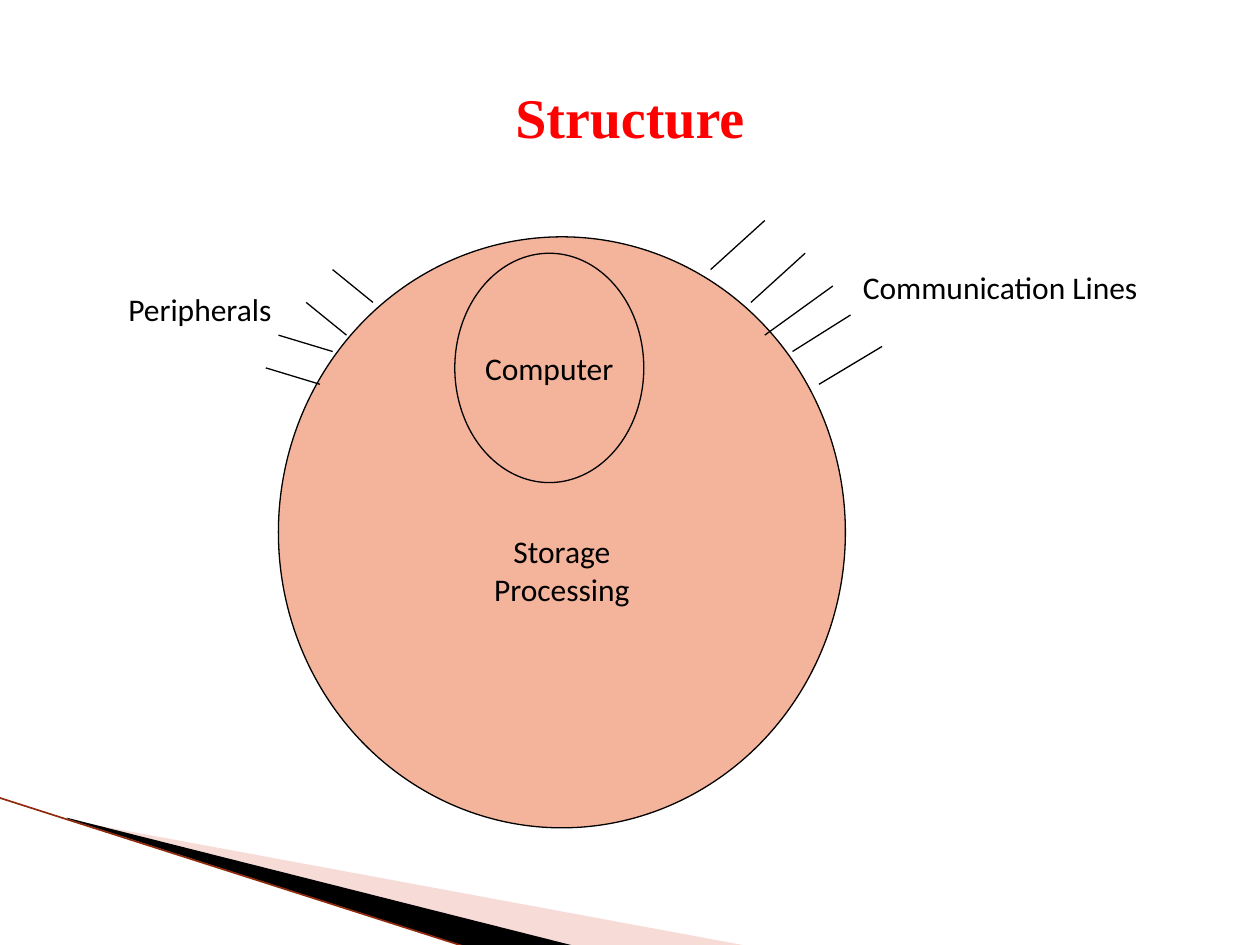
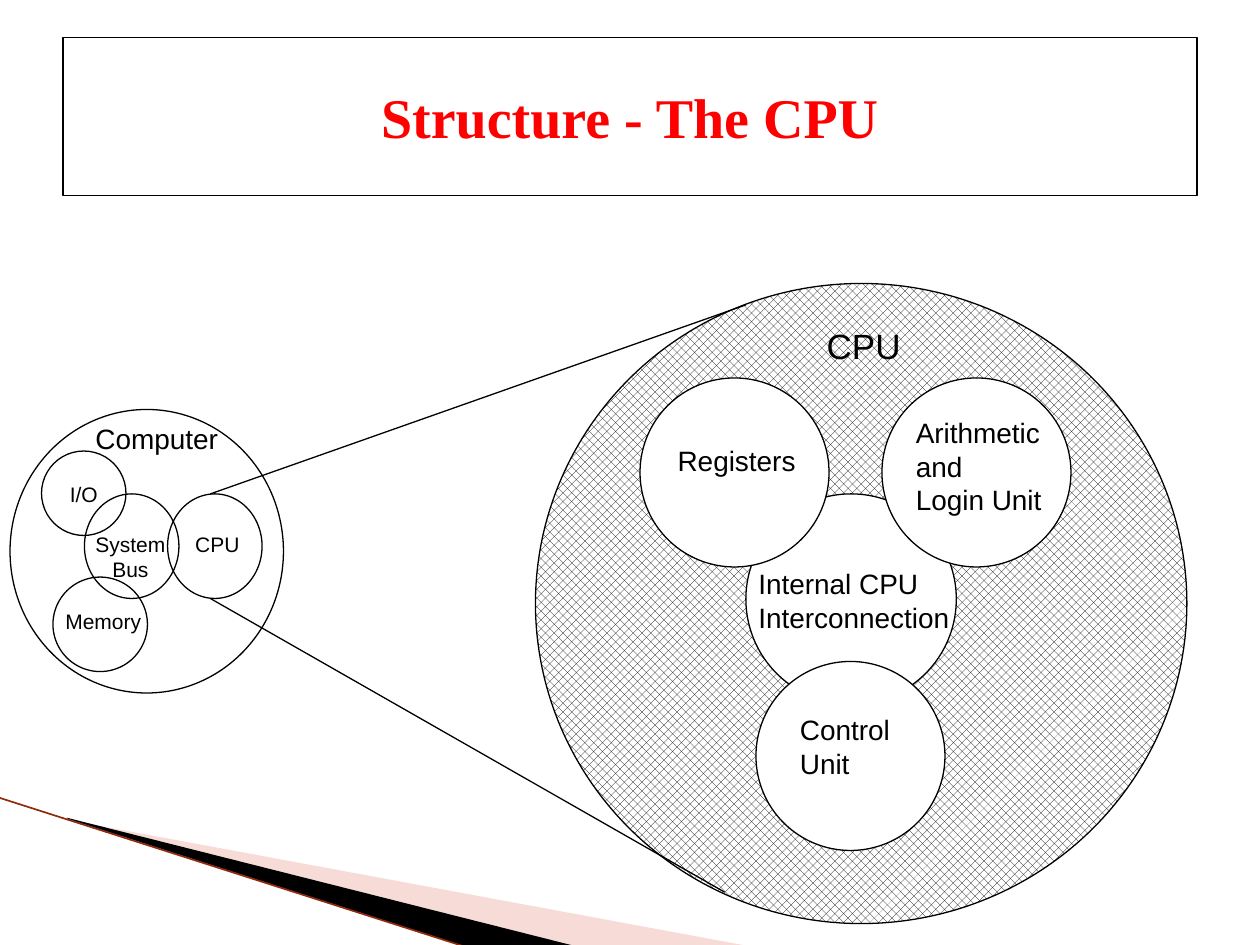
from lxml import etree
from pptx import Presentation
from pptx.dml.color import RGBColor
from pptx.enum.dml import MSO_PATTERN
from pptx.enum.shapes import MSO_CONNECTOR, MSO_SHAPE
from pptx.enum.text import MSO_ANCHOR, MSO_AUTO_SIZE, PP_ALIGN
from pptx.oxml.ns import qn
from pptx.util import Inches, Pt

COLORS = {
    "title": "FF0000", "ink": "000000", "paper": "FFFFFF", "salmon": "F4B39B",
    "pale wedge": "E9A59D", "dark wedge": "000000", "edge": "8F2A0C",
}
TITLE_FONT, BODY_FONT, DIAGRAM_FONT = "Times New Roman", "Calibri", "Arial"
OUTLINE = 0.75


def color(name):
    return RGBColor.from_string(COLORS[name])


def set_outline(line, name="ink", width=OUTLINE):
    line.color.rgb = color(name)
    line.width = Pt(width)


def write(frame, text, size, font, align, anchor=MSO_ANCHOR.MIDDLE, ink="ink", bold=False):
    frame.text = text
    frame.vertical_anchor = anchor
    for paragraph in frame.paragraphs:
        paragraph.alignment = align
        paragraph.font.size = Pt(size)
        paragraph.font.name = font
        paragraph.font.bold = bold
        paragraph.font.color.rgb = color(ink)


def add_circle(slide, left, top, width, height, fill=None):
    circle = slide.shapes.add_shape(MSO_SHAPE.OVAL, *map(Inches, (left, top, width, height)))
    circle.shadow.inherit = False
    if fill:
        circle.fill.solid()
        circle.fill.fore_color.rgb = color(fill)
    else:
        circle.fill.background()
    set_outline(circle.line)
    circle.text_frame.word_wrap = False
    return circle


def add_label(slide, text, left, top, width, height, size=16, font=DIAGRAM_FONT,
              align=PP_ALIGN.LEFT, anchor=MSO_ANCHOR.TOP, fill=None):
    """Add a label whose free side margins are zero, so that its words stay whole."""
    label = slide.shapes.add_textbox(*map(Inches, (left, top, width, height)))
    if fill:
        label.fill.solid()
        label.fill.fore_color.rgb = color(fill)
    frame = label.text_frame
    frame.word_wrap = True
    frame.auto_size = MSO_AUTO_SIZE.SHAPE_TO_FIT_TEXT
    frame.margin_right = 0
    if align == PP_ALIGN.CENTER:
        frame.margin_left = 0
    write(frame, text, size, font, align, anchor)


def add_line(slide, x1, y1, x2, y2, name="ink", width=OUTLINE):
    line = slide.shapes.add_connector(MSO_CONNECTOR.STRAIGHT, *map(Inches, (x1, y1, x2, y2)))
    set_outline(line.line, name, width)
    etree.SubElement(line._element.spPr, qn("a:effectLst"))


def add_wedge(slide, points, name, opacity=100):
    start, *others = [(Inches(x), Inches(y)) for x, y in points]
    builder = slide.shapes.build_freeform(*start)
    builder.add_line_segments(others, close=True)
    wedge = builder.convert_to_shape()
    wedge.shadow.inherit = False
    wedge.fill.solid()
    wedge.fill.fore_color.rgb = color(name)
    wedge.line.fill.background()
    if opacity < 100:
        tint = wedge._element.spPr.find(qn("a:solidFill"))[0]
        etree.SubElement(tint, qn("a:alpha"), val=str(opacity * 1000))


def add_corner_band(slide):
    add_wedge(slide, [(0.55, 6.51), (5.95, 7.51), (4.56, 7.51), (0.55, 6.5)], "pale wedge", 40)
    add_wedge(slide, [(0.53, 6.49), (4.57, 7.51), (3.72, 7.52), (0.54, 6.5)], "dark wedge")
    add_line(slide, -0.01, 6.33, 3.71, 7.52, "edge", 0.95)


def start_slide(prs, heading, framed=False):
    """Add a slide with the shared corner band and title."""
    slide = prs.slides.add_slide(prs.slide_layouts[5])
    add_corner_band(slide)
    title = slide.shapes.title
    title.left, title.top, title.width, title.height = map(Inches, (0.5, 0.3, 9, 1.25))
    write(title.text_frame, heading, 32, TITLE_FONT, PP_ALIGN.CENTER, ink="title", bold=True)
    if framed:
        set_outline(title.line)
    return slide


def add_system(slide, left, top):
    """Storage and processing around the computer, with its outside links."""
    system = add_circle(slide, left, top, 4.5, 4.69, "salmon")
    system.text_frame.margin_top = Inches(0.65)
    write(system.text_frame, "Storage\nProcessing", 18, BODY_FONT, PP_ALIGN.CENTER)
    computer = add_circle(slide, left + 1.4, top + 0.13, 1.5, 1.82, "salmon")
    write(computer.text_frame, "Computer", 18, BODY_FONT, PP_ALIGN.CENTER)

    communication_lines = [
        (3.43, 0.26, 3.86, -0.13), (3.75, 0.52, 4.18, 0.13), (3.86, 0.78, 4.4, 0.39),
        (4.08, 0.91, 4.54, 0.62), (4.29, 1.17, 4.79, 0.87),
    ]
    peripheral_lines = [
        (0.33, 1.17, -0.1, 1.04), (0.43, 0.91, 0, 0.78),
        (0.54, 0.78, 0.22, 0.52), (0.75, 0.52, 0.43, 0.26),
    ]
    for x1, y1, x2, y2 in communication_lines + peripheral_lines:
        add_line(slide, left + x1, top + y1, left + x2, top + y2)
    for text, x, y, width in [("Peripherals", -1.29, 0.37, 1.5),
                              ("Communication Lines", 4.54, 0.2, 2.43)]:
        add_label(slide, text, left + x, top + y, width, 0.4, 18, BODY_FONT, fill="paper")


def add_computer(slide, left, top):
    add_circle(slide, left, top, 2.17, 2.25)
    add_label(slide, "Computer", left + 0.58, top + 0.05, 1.17, 0.37)
    # circle box, then label text and box
    parts = [
        ((1.25, 0.67, 0.75, 0.83), "CPU", (1.37, 0.92, 0.55, 0.3)),
        ((0.25, 0.33, 0.67, 0.67), "I/O", (0.34, 0.52, 0.49, 0.3)),
        ((0.34, 1.33, 0.75, 0.75), "Memory", (0.34, 1.53, 0.8, 0.3)),
        ((0.59, 0.67, 0.75, 0.83), "System\nBus", (0.58, 0.92, 0.75, 0.5)),
    ]
    for (x, y, width, height), text, (label_x, label_y, *label_size) in parts:
        add_circle(slide, left + x, top + y, width, height)
        add_label(slide, text, left + label_x, top + label_y, *label_size, size=12,
                  align=PP_ALIGN.CENTER, anchor=MSO_ANCHOR.MIDDLE)


def add_cpu(slide, left, top):
    cpu = add_circle(slide, left, top, 5.17, 5.08)
    cpu.fill.patterned()
    cpu.fill.pattern = MSO_PATTERN.PERCENT_50
    cpu.fill.fore_color.rgb = color("ink")
    cpu.fill.back_color.rgb = color("paper")
    add_label(slide, "CPU", left + 2.21, top + 0.28, 0.79, 0.43, 20,
              align=PP_ALIGN.CENTER, anchor=MSO_ANCHOR.MIDDLE)
    # circle position and diameter, then label text and box
    parts = [
        ((1.67, 1.67, 1.67), "Internal CPU\nInterconnection", (1.67, 2.2, 1.72, 0.64)),
        ((0.83, 0.75, 1.5), "Registers", (1.03, 1.22, 1.14, 0.37)),
        ((2.75, 0.75, 1.5), "Arithmetic\nand\nLogin Unit", (2.92, 1, 1.2, 0.9)),
        ((1.75, 3, 1.5), "Control\nUnit", (2, 3.36, 0.91, 0.64)),
    ]
    for (x, y, diameter), _, _ in parts:
        add_circle(slide, left + x, top + y, diameter, diameter, "paper")
    for _, text, (x, y, width, height) in parts:
        add_label(slide, text, left + x, top + y, width, height)


def build_structure(prs):
    slide = start_slide(prs, "Structure")
    add_system(slide, 2.21, 1.88)


def build_cpu_structure(prs):
    slide = start_slide(prs, "Structure - The CPU", framed=True)
    add_cpu(slide, 4.25, 2.25)
    add_computer(slide, 0.08, 3.25)
    add_line(slide, 1.67, 3.92, 5.92, 2.42)
    add_line(slide, 1.67, 4.75, 5.75, 7.08)


def main():
    prs = Presentation()
    prs.slide_width, prs.slide_height = Inches(10), Inches(7.5)
    build_structure(prs)
    build_cpu_structure(prs)
    prs.save("out.pptx")


if __name__ == "__main__":
    main()
